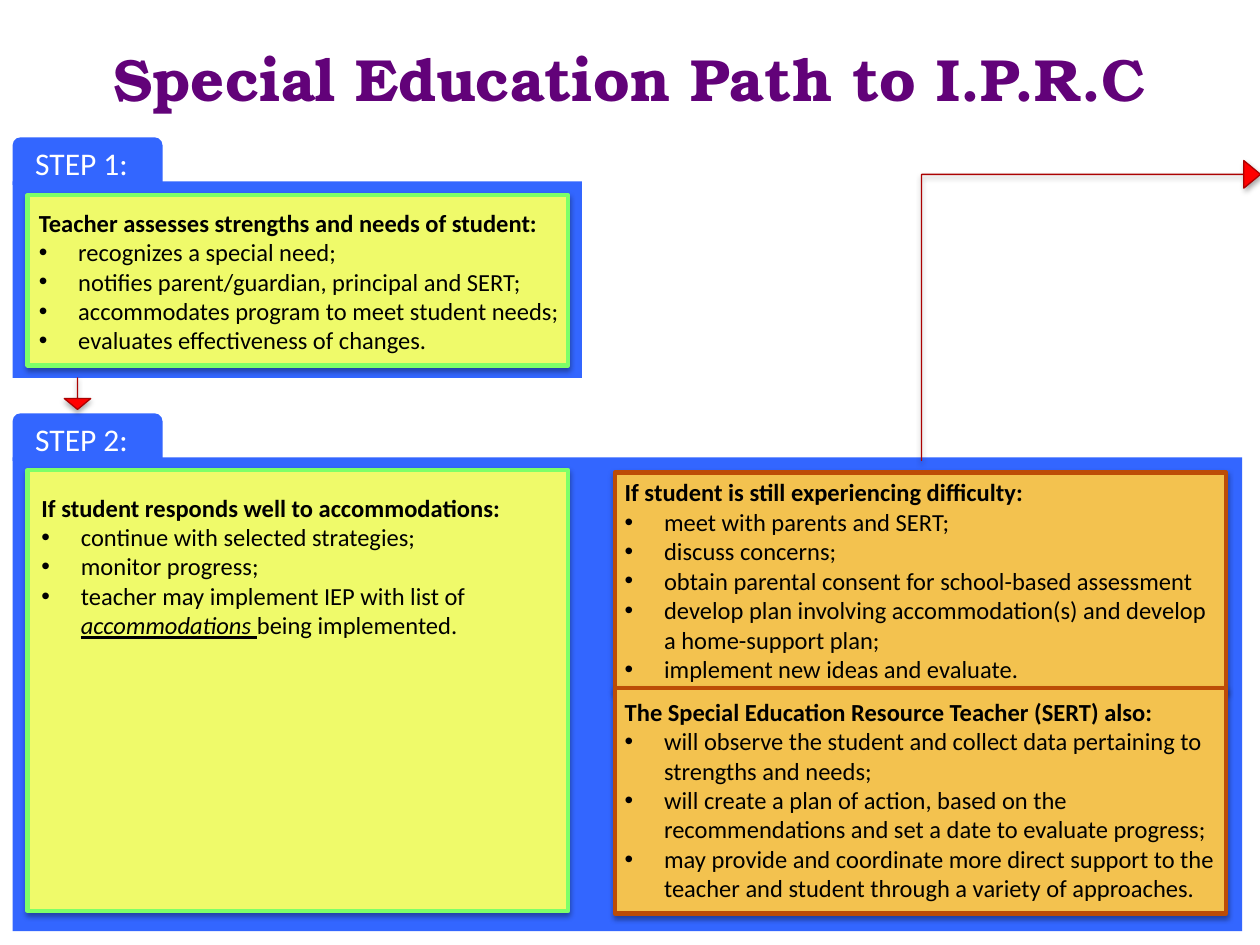
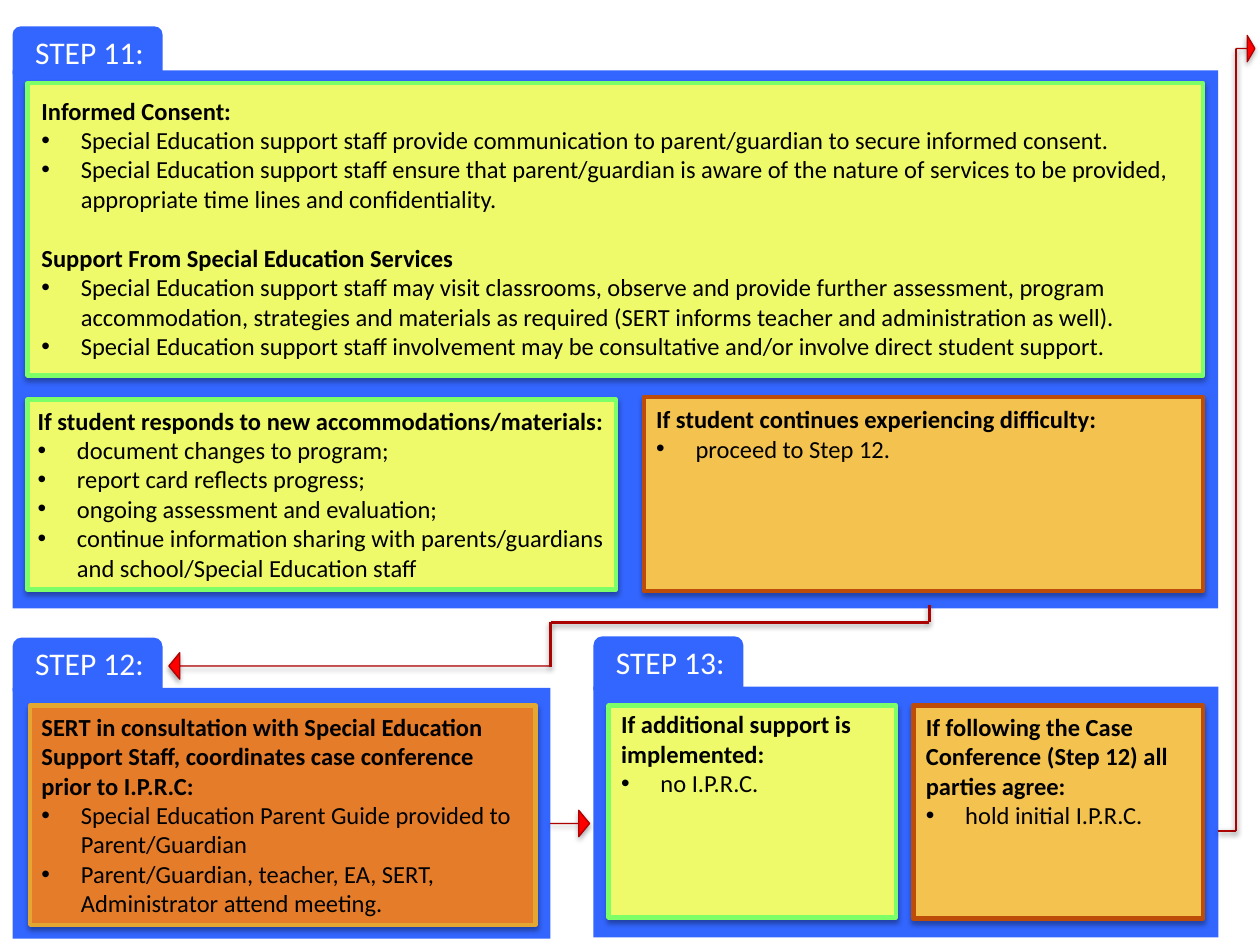
from itertools import pairwise

from lxml.etree import SubElement
from pptx import Presentation
from pptx.dml.color import RGBColor
from pptx.enum.shapes import MSO_CONNECTOR, MSO_SHAPE
from pptx.enum.text import MSO_ANCHOR, PP_ALIGN
from pptx.oxml.ns import qn
from pptx.util import Pt

BLUE = RGBColor(0x33, 0x66, 0xFF)
YELLOW = RGBColor(0xEF, 0xFA, 0x6A)
GREEN = RGBColor(0x7D, 0xFF, 0x68)
GOLD = RGBColor(0xF3, 0xC2, 0x4F)
RUST = RGBColor(0xBC, 0x4C, 0x07)
ORANGE = RGBColor(0xE4, 0x7C, 0x2A)
AMBER = RGBColor(0xE4, 0xA7, 0x32)
RED = RGBColor(0xFF, 0x00, 0x00)
DARK_RED = RGBColor(0xAB, 0x02, 0x02)
PURPLE = RGBColor(0x62, 0x02, 0x79)
WHITE = RGBColor(0xFF, 0xFF, 0xFF)
BLACK = RGBColor(0x00, 0x00, 0x00)

SUCCESS = (YELLOW, GREEN)
DIFFICULTY = (GOLD, RUST)
CONFERENCE = (ORANGE, AMBER)


def cast_shadow(item, distance, opacity):
    effects = SubElement(item._element.spPr, qn("a:effectLst"))
    shadow = SubElement(effects, qn("a:outerShdw"), blurRad=str(Pt(3.1)),
                        dist=str(Pt(distance)), dir="5400000", rotWithShape="0")
    black = SubElement(shadow, qn("a:srgbClr"), val="000000")
    SubElement(black, qn("a:alpha"), val=str(opacity * 1000))


def add_block(slide, kind, box, fill, outline=None, weight=0):
    block = slide.shapes.add_shape(kind, *map(Pt, box))
    block.fill.solid()
    block.fill.fore_color.rgb = fill
    if outline is None:
        block.line.fill.background()
        block.shadow.inherit = False
    else:
        block.line.color.rgb = outline
        block.line.width = Pt(weight)
        cast_shadow(block, 1.8, 35)
    return block


path_steps = {
    "steps": [
        ("STEP 1:", (7.2, 103.7, 325.4, 112.3), 25.2),
        ("STEP 2:", (7.2, 261.4, 702.7, 270.7), 25.2),
    ],
    "cards": [
        (SUCCESS, (15.8, 111.6, 308.9, 97.2), (15.1, 115.2, 316.1, 92.2), [
            ("Teacher assesses strengths and needs of student:", [
                "recognizes a special need;",
                "notifies parent/guardian, principal and SERT;",
                "accommodates program to meet student needs;",
                "evaluates effectiveness of changes."])]),
        (DIFFICULTY, (351.4, 270, 349.2, 124.6), (349.9, 269.3, 350.6, 126), [
            ("If student is still experiencing difficulty:", [
                "meet with parents and SERT;",
                "discuss concerns;",
                "obtain parental consent for school-based assessment",
                "develop plan involving accommodation(s) and develop a home-support plan;",
                "implement new ideas and evaluate."])]),
        (DIFFICULTY, (351.4, 393.1, 349.2, 128.9), (349.9, 394.6, 360, 126), [
            ("The Special Education Resource Teacher (SERT) also:", [
                "will observe the student and collect data pertaining to strengths and needs;",
                "will create a plan of action, based on the recommendations and set a date "
                "to evaluate progress;",
                "may provide and coordinate more direct support to the teacher and student "
                "through a variety of approaches."])]),
        (SUCCESS, (15.8, 268.6, 308.9, 252), (16.6, 277.9, 308.9, 92.2), [
            ("If student responds well to accommodations:", [
                "continue with selected strategies;",
                "monitor progress;",
                "teacher may implement IEP with list of *accommodations *being implemented."])]),
    ],
    "arrows": [((35.3, 217.4, 18, 15.1), 90)],
    "routes": [],
}

support_steps = {
    "steps": [
        ("STEP 11:", (7.2, 40.3, 689, 307.4), 25.2),
        ("STEP 12:", (7.2, 393.1, 307.4, 143.3), 28.8),
        ("STEP 13:", (339.1, 392.4, 357.1, 143.3), 28.8),
    ],
    "cards": [
        (SUCCESS, (15.8, 47.5, 671.8, 167), (16.6, 51.1, 671.8, 177.1), [
            ("Informed Consent:", [
                "Special Education support staff provide communication to parent/guardian "
                "to secure informed consent.",
                "Special Education support staff ensure that parent/guardian is aware of the "
                "nature of services to be provided, appropriate time lines and confidentiality."]),
            ("Support From Special Education Services", [
                "Special Education support staff may visit classrooms, observe and provide "
                "further assessment, program accommodation, strategies and materials as "
                "required (SERT informs teacher and administration as well).",
                "Special Education support staff involvement may be consultative and/or "
                "involve direct student support."])]),
        (SUCCESS, (15.8, 228.2, 336.2, 108.7), (14.4, 228.2, 339.8, 108.7), [
            ("If student responds to new accommodations/materials:", [
                "document changes to program;",
                "report card reflects progress;",
                "ongoing assessment and evaluation;",
                "continue information sharing with parents/guardians and school/Special "
                "Education staff"])]),
        (DIFFICULTY, (367.9, 226.8, 319.7, 110.9), (367.9, 227.5, 319.7, 41), [
            ("If student continues experiencing difficulty:", ["proceed to Step 12."])]),
        (CONFERENCE, (17.3, 403.2, 288.7, 125.3), (16.6, 403.2, 288.7, 126), [
            ("SERT in consultation with Special Education Support Staff, coordinates case "
             "conference prior to I.P.R.C:", [
                 "Special Education Parent Guide provided to Parent/Guardian",
                 "Parent/Guardian, teacher, EA, SERT, Administrator attend meeting."])]),
        (SUCCESS, (347.8, 403.2, 164.2, 121), (347.8, 401.8, 164.2, 58.3), [
            ("If additional support is implemented:", ["no I.P.R.C."])]),
        (DIFFICULTY, (522, 403.2, 165.6, 121.7), (522, 403.2, 165.6, 74.9), [
            ("If following the Case Conference (Step 12) all parties agree:", [
                "hold initial I.P.R.C."])]),
    ],
    "arrows": [
        ((96.5, 373, 218.2, 15.1), 180),
        ((314.6, 463, 22.3, 15.1), 0),
        ((706.3, 20.2, 10.8, 15.1), 0),
    ],
    "routes": [
        [(531, 345.6), (531, 355.7), (314.6, 355.7), (314.6, 380.9)],
        [(696.2, 474.8), (706.3, 474.8), (706.3, 28.1)],
    ],
}

prs = Presentation()
prs.slide_width = Pt(720)
prs.slide_height = Pt(540)

for page in (path_steps, support_steps):
    slide = prs.slides.add_slide(prs.slide_layouts[6])

    for step, panel, rise in page["steps"]:
        left, top = panel[0], panel[1] - rise
        add_block(slide, MSO_SHAPE.RECTANGLE, panel, BLUE)
        add_block(slide, MSO_SHAPE.ROUND_2_SAME_RECTANGLE,
                  (left, top, 85.7, rise + 2), BLUE)
        label = slide.shapes.add_textbox(Pt(left + 5.8), Pt(top + 0.4),
                                         Pt(10 * len(step)), Pt(28.8))
        caption = label.text_frame.paragraphs[0]
        caption.text = step
        caption.font.name = "Calibri"
        caption.font.size = Pt(18)
        caption.font.color.rgb = WHITE

    for (fill, outline), card, text_area, sections in page["cards"]:
        add_block(slide, MSO_SHAPE.RECTANGLE, card, fill, outline, 2.5)
        frame = slide.shapes.add_textbox(*map(Pt, text_area)).text_frame
        frame.word_wrap = True
        entries = [(entry, entry == heading) for heading, bullets in sections
                   for entry in (heading, *bullets)]
        for index, (entry, is_heading) in enumerate(entries):
            paragraph = frame.add_paragraph() if index else frame.paragraphs[0]
            if not is_heading:
                properties = paragraph._p.get_or_add_pPr()
                properties.set("marL", str(Pt(22.5)))
                properties.set("indent", str(-Pt(22.5)))
                SubElement(properties, qn("a:buFont"), typeface="Arial")
                SubElement(properties, qn("a:buChar"), char="•")
            elif index:
                paragraph.space_before = Pt(17)
            for part, words in enumerate(entry.split("*")):
                run = paragraph.add_run()
                run.text = words
                if part % 2:
                    run.font.italic = True
                    run.font.underline = True
            paragraph.font.name = "Calibri"
            paragraph.font.size = Pt(14)
            paragraph.font.bold = is_heading
            paragraph.font.color.rgb = BLACK

    for box, angle in page["arrows"]:
        arrow = add_block(slide, MSO_SHAPE.RIGHT_ARROW, box, RED, DARK_RED, 0.75)
        arrow.rotation = angle
        arrow.adjustments[0] = 0
        arrow.adjustments[1] = 0.41

    for route in page["routes"]:
        for start, end in pairwise(route):
            segment = slide.shapes.add_connector(MSO_CONNECTOR.STRAIGHT,
                                                 *map(Pt, start + end))
            segment.line.color.rgb = DARK_RED
            segment.line.width = Pt(1.5)
            cast_shadow(segment, 1.6, 38)

opening = prs.slides[0]
title_frame = opening.shapes.add_textbox(Pt(36), Pt(11.5), Pt(648), Pt(66.2)).text_frame
title_frame.word_wrap = True
title_frame.vertical_anchor = MSO_ANCHOR.MIDDLE
title = title_frame.paragraphs[0]
title.text = "Special Education Path to I.P.R.C"
title.alignment = PP_ALIGN.CENTER
title.font.name = "TeX Gyre Bonum"
title.font.size = Pt(34)
title.font.bold = True
title.font.color.rgb = PURPLE

onward = add_block(opening, MSO_SHAPE.BENT_UP_ARROW, (537.8, 80.6, 171.4, 193.7),
                   RED, DARK_RED, 0.75)
onward.rotation = 90
onward._element.spPr.find(qn("a:xfrm")).set("flipH", "1")
for index, ratio in enumerate((0, 0.046, 0.056)):
    onward.adjustments[index] = ratio

prs.save("out.pptx")
